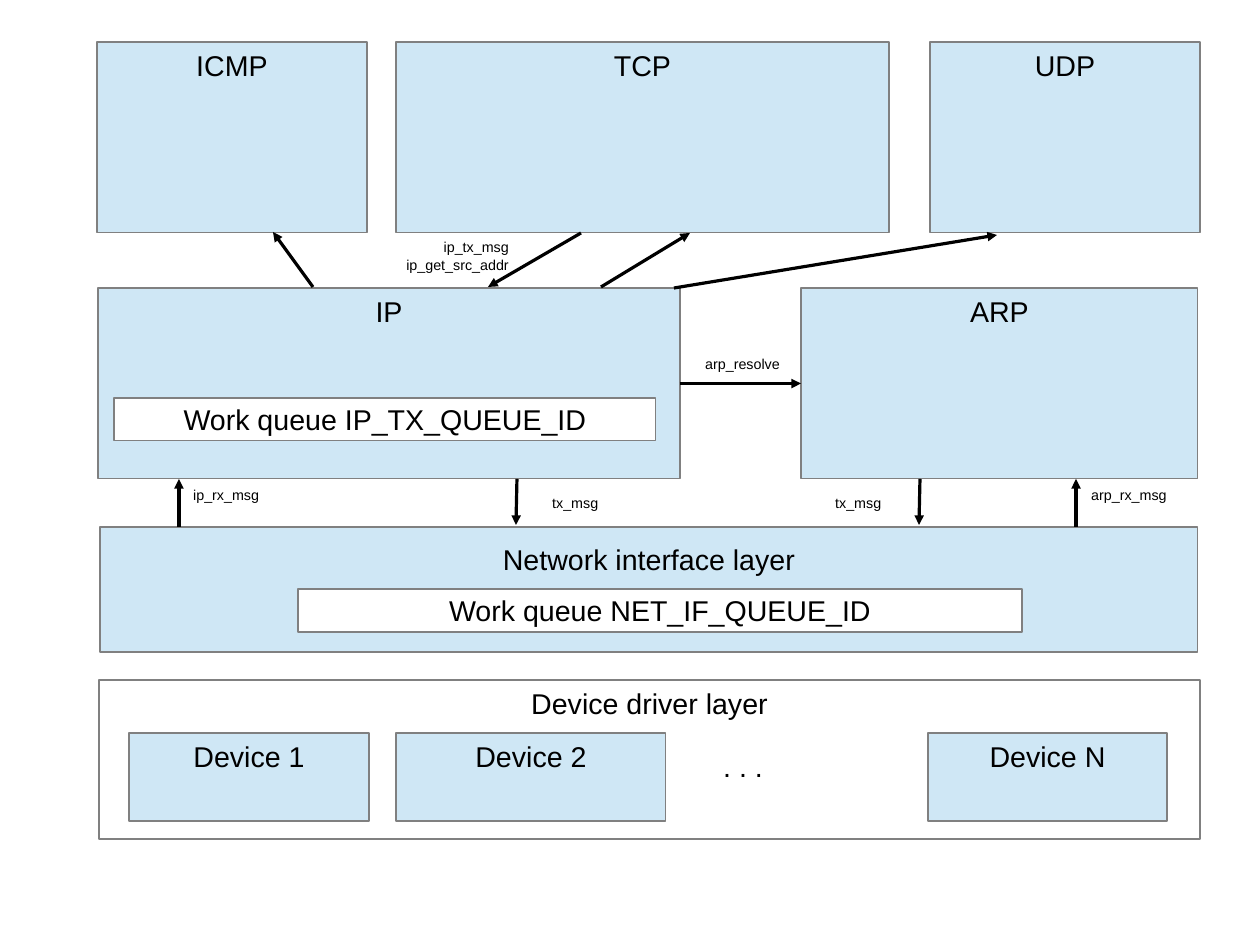
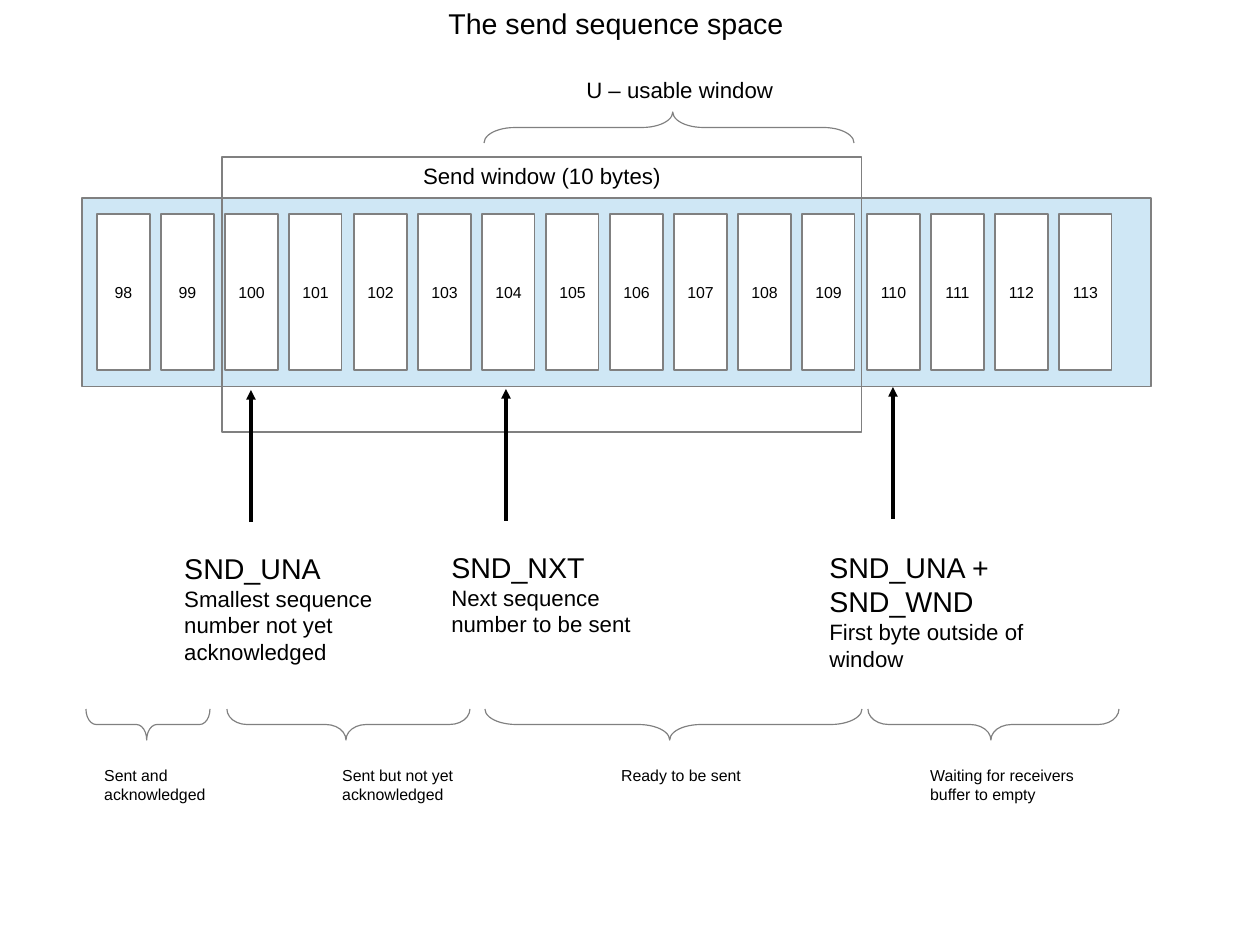
from lxml.etree import SubElement
from pptx import Presentation
from pptx.dml.color import RGBColor
from pptx.enum.shapes import MSO_CONNECTOR as Connector, MSO_SHAPE as Preset
from pptx.enum.text import MSO_ANCHOR as Anchor, MSO_AUTO_SIZE as AutoSize, PP_ALIGN as Align
from pptx.oxml.ns import qn
from pptx.util import Emu, Pt

SCALE = 8000
FONT = "Arial"
BLUE, WHITE, GREY, BLACK = "CFE7F5", "FFFFFF", "808080", "000000"
BIG, MEDIUM, SMALL, TINY = 18, 14, 10, 9
BRACE_DEPTH = 31


def px(*lengths):
    return [Emu(int(length * SCALE)) for length in lengths]


def colour(code):
    return RGBColor.from_string(code)


def within(box, x, y, width, height):
    return box[0] + x, box[1] + y, width, height


def apply(target, formats):
    for name, value in formats.items():
        setattr(target, name, value)


def write(frame, lines, align=Align.LEFT, **formats):
    apply(frame, {"vertical_anchor": Anchor.TOP, "word_wrap": True, **formats})
    for index, (text, size) in enumerate(lines):
        para = frame.paragraphs[0] if index == 0 else frame.add_paragraph()
        para.alignment = align
        span = para.add_run()
        span.text = text
        apply(span.font, {"name": FONT, "size": Pt(size), "bold": False})
        span.font.color.rgb = colour(BLACK)


def outline(shape, fill=None):
    shape.shadow.inherit = False
    if fill:
        shape.fill.solid()
        shape.fill.fore_color.rgb = colour(fill)
    else:
        shape.fill.background()
    shape.line.color.rgb = colour(GREY)
    shape.line.width = Pt(0)


def block(page, box, text="", fill=BLUE, size=BIG, **formats):
    shape = page.shapes.add_shape(Preset.RECTANGLE, *px(*box))
    outline(shape, fill)
    if text:
        write(shape.text_frame, [(text, size)], Align.CENTER, **{"word_wrap": False, **formats})
    return shape


def label(page, box, *lines, align=Align.LEFT):
    shape = page.shapes.add_textbox(*px(*box))
    write(shape.text_frame, lines, align, auto_size=AutoSize.SHAPE_TO_FIT_TEXT)


def arrow(page, box, start, end):
    points = [box[0] + start[0], box[1] + start[1], box[0] + end[0], box[1] + end[1]]
    line = page.shapes.add_connector(Connector.STRAIGHT, *px(*points))
    line.line.color.rgb = colour(BLACK)
    line.line.width = Pt(0)
    SubElement(line.line._get_or_add_ln(), qn("a:tailEnd"), type="triangle")
    SubElement(line._element.spPr, qn("a:effectLst"))
    return line


def brace(page, box, rotation):
    x, y, length, depth = box
    shift = (length - depth) / 2
    shape = page.shapes.add_shape(Preset.LEFT_BRACE, *px(x + shift, y - shift, depth, length))
    shape.rotation = rotation
    shape.adjustments[0] = round(length / depth / 12, 2)
    shape.adjustments[1] = 0.49
    outline(shape)


def transport_layer(page, box):
    for text, x, width in (("ICMP", 0, 270), ("TCP", 299, 493), ("UDP", 833, 270)):
        block(page, within(box, x, 0, width, box[3]), text)


def transport_calls(page, box):
    for start, end in (
        ((216, 54), (176, -1)),
        ((504, 54), (593, 0)),
        ((577, 55), (900, 2)),
        ((484, 0), (391, 54)),
    ):
        arrow(page, box, start, end)
    label(page, within(box, 280, 0, 143, 43), ("ip_tx_msg", TINY), ("ip_get_src_addr", TINY),
          align=Align.RIGHT)


def internet_layer(page, box):
    ip = block(page, within(box, 0, 0, 582, box[3]), "IP")
    arp = block(page, within(box, 703, 0, 397, box[3]), "ARP")
    resolve = arrow(page, box, (582, 95), (703, 95))
    resolve.begin_connect(ip, 3)
    resolve.end_connect(arp, 1)
    label(page, within(box, 596, 62, 143, 27), ("arp_resolve", TINY))
    block(page, within(box, 16, 110, 542, 43), "Work queue IP_TX_QUEUE_ID", WHITE,
          vertical_anchor=Anchor.MIDDLE)


def interface_calls(page, box):
    for text, start, end, x, y in (
        ("ip_rx_msg", (81, 48), (81, 0), 84, 2),
        ("tx_msg", (419, 0), (418, 46), 443, 10),
        ("tx_msg", (822, 0), (821, 46), 726, 10),
        ("arp_rx_msg", (978, 48), (978, 0), 982, 2),
    ):
        arrow(page, box, start, end)
        label(page, within(box, x, y, 143, 27), (text, TINY))


def interface_layer(page, box):
    block(page, box, "Network interface layer", margin_top=px(15)[0])
    block(page, within(box, 198, 62, 724, 43), "Work queue NET_IF_QUEUE_ID", WHITE,
          vertical_anchor=Anchor.MIDDLE)


def driver_layer(page, box):
    block(page, box, "Device driver layer", None)
    for text, x, width in (("Device 1", 30, 240), ("Device 2", 297, 270), ("Device N", 829, 239)):
        block(page, within(box, x, 53, width, 88), text)
    label(page, within(box, 613, 63, 213, 43), (". . .", BIG))


def sequence_band(page, box):
    first, last = 98, 113
    block(page, box)
    for number in range(first, last + 1):
        x = 15 + round((number - first) * 962 / (last - first))
        block(page, within(box, x, 16, 53, 156), str(number), WHITE, SMALL,
              vertical_anchor=Anchor.MIDDLE)


def send_window(page, box):
    block(page, box, "Send window (10 bytes)", None, MEDIUM)
    brace(page, within(box, 262, -45, 370, BRACE_DEPTH), 90)
    label(page, within(box, 353, -86, 229, 37), ("U – usable window", MEDIUM))


def pointers(page, box):
    for name, detail, tip, x, y in (
        ("SND_UNA", "Smallest sequence number not yet acknowledged", (169, 3), 91, 158),
        ("SND_NXT", "Next sequence number to be sent", (424, 2), 358, 157),
        ("SND_UNA + SND_WND", "First byte outside of window", (811, 0), 736, 157),
    ):
        arrow(page, box, (tip[0], tip[1] + 132), tip)
        label(page, within(box, x, y, 229, 118), (name, BIG), (detail, MEDIUM))


def byte_states(page, box):
    for text, x, length, text_x, width in (
        ("Sent and acknowledged", 4, 124, 11, 173),
        ("Sent but not yet acknowledged", 145, 243, 249, 173),
        ("Ready to be sent", 403, 377, 528, 182),
        ("Waiting for receivers buffer to empty", 786, 251, 837, 182),
    ):
        brace(page, within(box, x, 0, length, BRACE_DEPTH), 270)
        label(page, within(box, text_x, 51, width, 47), (text, SMALL))


def page_title(page, box, text):
    title = page.shapes.title
    apply(title, dict(zip(("left", "top", "width", "height"), px(*box))))
    write(title.text_frame, [(text, BIG)], Align.CENTER, auto_size=AutoSize.NONE)


def stack_page(deck):
    page = deck.slides.add_slide(deck.slide_layouts[6])
    transport_layer(page, (97, 42, 1103, 191))
    internet_layer(page, (98, 288, 1100, 191))
    interface_layer(page, (100, 527, 1098, 125))
    driver_layer(page, (99, 680, 1101, 159))
    transport_calls(page, (97, 233, 1103, 55))
    interface_calls(page, (98, 479, 1100, 48))


def sequence_page(deck):
    page = deck.slides.add_slide(deck.slide_layouts[5])
    page_title(page, (81, 0, 1070, 43), "The send sequence space")
    sequence_band(page, (82, 198, 1069, 189))
    send_window(page, (222, 157, 640, 275))
    pointers(page, (82, 387, 1069, 283))
    byte_states(page, (82, 709, 1069, 98))


def main():
    deck = Presentation()
    deck.slide_width, deck.slide_height = px(1260, 945)
    stack_page(deck)
    sequence_page(deck)
    deck.save("out.pptx")


if __name__ == "__main__":
    main()
